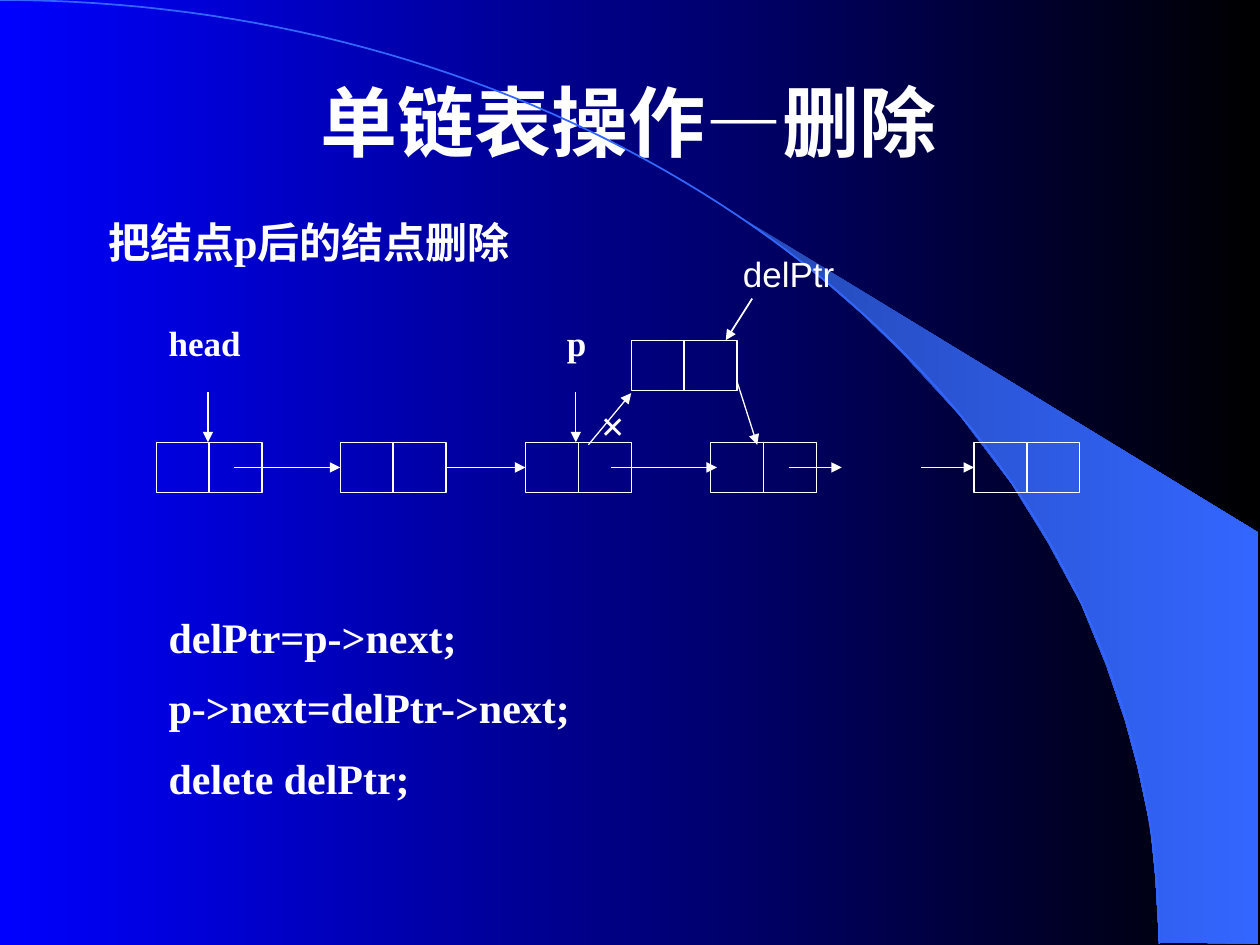
from dataclasses import dataclass

from lxml import etree
from pptx import Presentation
from pptx.dml.color import RGBColor
from pptx.enum.shapes import MSO_CONNECTOR, MSO_SHAPE
from pptx.enum.text import MSO_ANCHOR, MSO_AUTO_SIZE, PP_ALIGN
from pptx.oxml.ns import qn
from pptx.util import Inches, Pt

RECT = MSO_SHAPE.RECTANGLE
STRAIGHT = MSO_CONNECTOR.STRAIGHT
TOP, MIDDLE = MSO_ANCHOR.TOP, MSO_ANCHOR.MIDDLE
FIT, FIXED = MSO_AUTO_SIZE.SHAPE_TO_FIT_TEXT, MSO_AUTO_SIZE.NONE
LEFT, CENTER, JUSTIFY = PP_ALIGN.LEFT, PP_ALIGN.CENTER, PP_ALIGN.JUSTIFY


@dataclass(frozen=True)
class Theme:
    white: RGBColor = RGBColor(0xFF, 0xFF, 0xFF)
    back_start: RGBColor = RGBColor(0x00, 0x00, 0xFF)
    back_end: RGBColor = RGBColor(0x00, 0x00, 0x00)
    wedge_start: RGBColor = RGBColor(0x24, 0x49, 0xB6)
    accent: RGBColor = RGBColor(0x33, 0x66, 0xFF)
    serif: str = "Times New Roman"
    sans: str = "Arial"
    title: int = 44
    body: int = 24
    label: int = 20
    thin: float = 0.75
    medium: float = 1


@dataclass(frozen=True)
class Node:
    left: float
    top: float


@dataclass(frozen=True)
class Arrow:
    x1: float
    y1: float
    x2: float
    y2: float
    weight: float = 0.75


@dataclass(frozen=True)
class Label:
    left: float
    top: float
    width: float
    height: float
    lines: tuple[str, ...]
    size: int
    font: str = "Times New Roman"
    bold: bool = True
    align: PP_ALIGN = LEFT
    anchor: MSO_ANCHOR = TOP
    wrap: bool = True
    auto_size: MSO_AUTO_SIZE = FIXED
    spacing: float = 1.0


THEME = Theme()
CELL_W, CELL_H = 0.42, 0.4
ROW_Y, RAISED_Y = 3.51, 2.7
LINK_Y = 3.71

NODES = [Node(x, ROW_Y) for x in (1.24, 2.7, 4.17, 5.64, 7.73)] + [Node(5.01, RAISED_Y)]

LINKS = ((1.86, 2.7), (3.54, 4.17), (4.85, 5.69), (6.26, 6.68), (7.31, 7.73))
POINTERS = (1.65, 4.57)
ARROWS = [
    *(Arrow(x1, LINK_Y, x2, LINK_Y) for x1, x2 in LINKS),
    *(Arrow(x, 3.11, x, ROW_Y) for x in POINTERS),
    Arrow(5.85, 3.03, 6.01, 3.53),
    Arrow(4.67, 3.53, 5.01, 3.12),
    Arrow(5.97, 2.37, 5.76, RAISED_Y, THEME.medium),
]

CODE = ("delPtr=p->next;", "p->next=delPtr->next;", "delete delPtr;")
LABELS = [
    Label(0.76, 1.67, 4.25, 0.5, ("把结点p后的结点删除",), THEME.body, auto_size=FIT),
    Label(1.24, 2.5, 1.05, 0.61, ("head",), THEME.label, align=JUSTIFY),
    Label(4.4, 2.5, 0.58, 0.61, ("p",), THEME.label, align=JUSTIFY),
    Label(5.76, 1.97, 1, 0.4, ("delPtr",), THEME.label, THEME.sans, False,
          CENTER, MIDDLE, wrap=False),
    Label(4.67, 3.12, 0.42, 0.5, ("×",), THEME.body, auto_size=FIT),
    Label(1.24, 4.64, 4, 1.78, CODE, THEME.body, auto_size=FIT, spacing=1.4),
]

WEDGE = [
    (9.2, 7.48), (9.99, 7.49), (9.99, 4.23), (5.89, 1.73), (6.24, 1.99), (6.53, 2.22),
    (6.85, 2.5), (7.16, 2.8), (7.62, 3.3), (8.03, 3.84), (8.32, 4.31), (8.58, 4.79),
    (8.78, 5.28), (8.93, 5.72), (9.03, 6.09), (9.13, 6.56), (9.17, 6.96),
]
ARC_CONTROLS = ((0, 0), (5.08, 0), (9.2, 3.35), (9.2, 7.49))
ARC_STEPS = 80


def bezier(controls: tuple, t: float) -> tuple[float, float]:
    u = 1 - t
    weights = (u**3, 3 * u * u * t, 3 * u * t * t, t**3)
    x, y = (sum(w * c[i] for w, c in zip(weights, controls)) for i in (0, 1))
    return x, y


def set_gradient(fill, start: RGBColor, end: RGBColor) -> None:
    fill.gradient()
    fill.gradient_angle = 0
    for stop, color, position in zip(fill.gradient_stops, (start, end), (0, 1)):
        stop.color.rgb = color
        stop.position = position


def add_outline(slide, points: list, close: bool):
    emu = [(Inches(x), Inches(y)) for x, y in points]
    builder = slide.shapes.build_freeform(*emu[0])
    builder.add_line_segments(emu[1:], close=close)
    sp = builder.convert_to_shape()
    sp.shadow.inherit = False
    return sp


def add_backdrop(slide) -> None:
    set_gradient(slide.background.fill, THEME.back_start, THEME.back_end)
    wedge = add_outline(slide, WEDGE, True)
    set_gradient(wedge.fill, THEME.wedge_start, THEME.accent)
    wedge.line.fill.background()
    curve = [bezier(ARC_CONTROLS, i / ARC_STEPS) for i in range(ARC_STEPS + 1)]
    arc = add_outline(slide, curve, False)
    arc.fill.background()
    arc.line.color.rgb = THEME.accent
    arc.line.width = Pt(THEME.medium)


def format_run(r, size: int, font: str, bold: bool) -> None:
    r.font.size = Pt(size)
    r.font.name = font
    r.font.bold = bold
    r.font.color.rgb = THEME.white


def set_title(slide) -> None:
    title = slide.shapes.title
    title.left, title.top = Inches(0.74), Inches(0.33)
    title.width, title.height = Inches(8.5), Inches(1.25)
    tf = title.text_frame
    tf.vertical_anchor = MIDDLE
    p = tf.paragraphs[0]
    p.alignment = CENTER
    for text, font in (("单链表操作", THEME.sans), ("—", THEME.serif), ("删除", THEME.sans)):
        r = p.add_run()
        r.text = text
        format_run(r, THEME.title, font, True)


def add_node(slide, node: Node) -> None:
    for i in range(2):
        sp = slide.shapes.add_shape(RECT, Inches(node.left + i * CELL_W), Inches(node.top),
                                    Inches(CELL_W), Inches(CELL_H))
        sp.shadow.inherit = False
        sp.fill.background()
        sp.line.color.rgb = THEME.white
        sp.line.width = Pt(THEME.thin)


def add_arrow(slide, arrow: Arrow) -> None:
    cxn = slide.shapes.add_connector(STRAIGHT, Inches(arrow.x1), Inches(arrow.y1),
                                     Inches(arrow.x2), Inches(arrow.y2))
    cxn.line.color.rgb = THEME.white
    cxn.line.width = Pt(arrow.weight)
    etree.SubElement(cxn.line._get_or_add_ln(), qn("a:tailEnd"), type="triangle")
    etree.SubElement(cxn._element.spPr, qn("a:effectLst"))


def add_label(slide, label: Label) -> None:
    box = slide.shapes.add_textbox(Inches(label.left), Inches(label.top),
                                   Inches(label.width), Inches(label.height))
    tf = box.text_frame
    tf.text = "\n".join(label.lines)
    tf.word_wrap = label.wrap
    tf.auto_size = label.auto_size
    tf.vertical_anchor = label.anchor
    for p in tf.paragraphs:
        p.alignment = label.align
        p.line_spacing = label.spacing
        format_run(p.runs[0], label.size, label.font, label.bold)


def main() -> None:
    prs = Presentation()
    prs.slide_width, prs.slide_height = Inches(10), Inches(7.5)
    slide = prs.slides.add_slide(prs.slide_layouts[5])
    add_backdrop(slide)
    set_title(slide)
    for node in NODES:
        add_node(slide, node)
    for arrow in ARROWS:
        add_arrow(slide, arrow)
    for label in LABELS:
        add_label(slide, label)
    prs.save("out.pptx")


if __name__ == "__main__":
    main()
